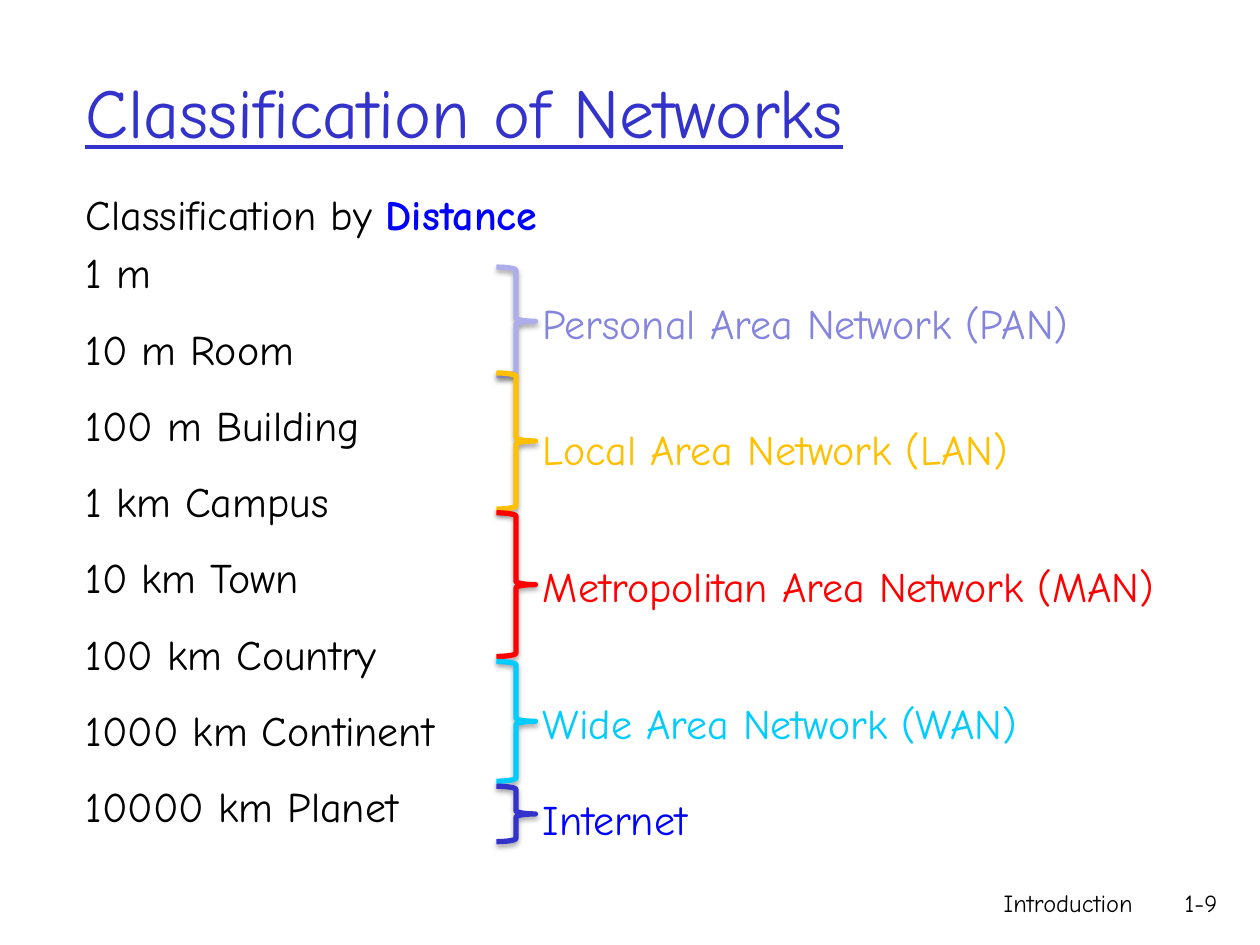
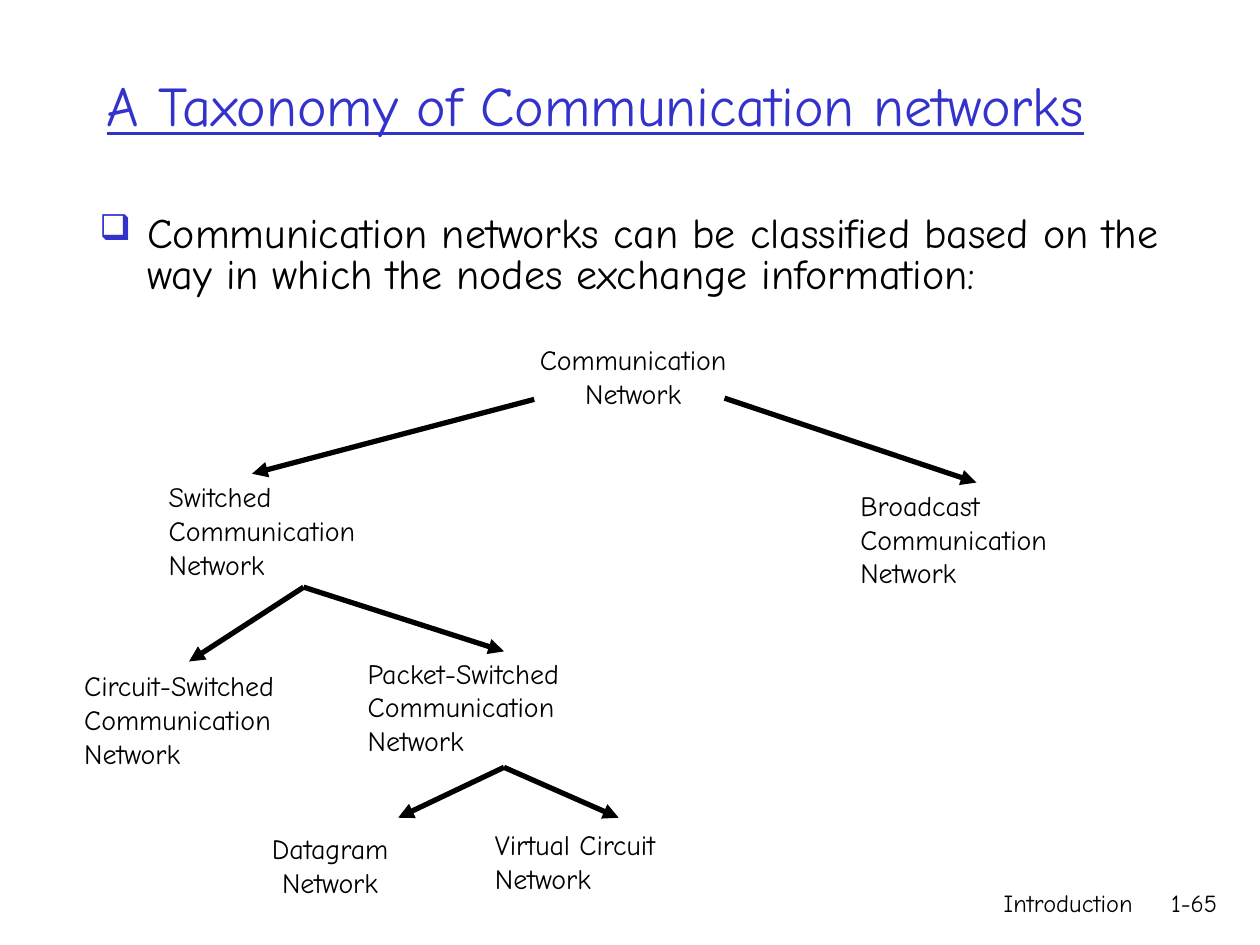
from lxml import etree
from pptx import Presentation
from pptx.dml.color import RGBColor
from pptx.enum import shapes, text
from pptx.oxml import parse_xml
from pptx.oxml.ns import nsdecls, qn
from pptx.util import Inches, Pt

FONT = "Comic Neue"
COLORS = {
    "title": "3333CC", "black": "000000", "blue": "0000FF",
    "lilac": "8585E0", "pale_lilac": "ADADEB", "amber": "FFC000",
    "red": "FF0000", "cyan": "00CCFF",
}


def rgb(name):
    return RGBColor.from_string(COLORS[name])


def add_text(slide, lines, x, y, w, h, size=24, color="black", underline=False,
             align="LEFT", anchor="TOP", before=0, after=0, spacing=None,
             hang=0, bullet=None):
    """Add a text box with one paragraph per line; *words* are bold blue."""
    tf = slide.shapes.add_textbox(Inches(x), Inches(y), Inches(w), Inches(h)).text_frame
    tf.word_wrap = True
    tf.vertical_anchor = getattr(text.MSO_ANCHOR, anchor)
    for n, line in enumerate(lines):
        p = tf.add_paragraph() if n else tf.paragraphs[0]
        p.alignment = getattr(text.PP_ALIGN, align)
        pPr = p._p.get_or_add_pPr()
        if hang:
            pPr.set("marL", str(Inches(hang)))
            pPr.set("indent", str(-Inches(hang)))
        if bullet:
            clr = etree.SubElement(pPr, qn("a:buClr"))
            etree.SubElement(clr, qn("a:srgbClr"), val=COLORS["title"])
            etree.SubElement(pPr, qn("a:buSzPct"), val="85000")
            etree.SubElement(pPr, qn("a:buChar"), char=bullet)
        if n:
            p.space_before = Pt(before)
            p.space_after = Pt(after)
        if spacing:
            p.line_spacing = spacing
        for i, part in enumerate(line.split("*")):
            if not part:
                continue
            strong = i % 2 == 1
            for j, piece in enumerate(part.split("\n")):
                if j:
                    p.add_line_break()
                r = p.add_run()
                r.text = piece
                r.font.name = FONT
                r.font.size = Pt(size)
                r.font.bold = strong
                r.font.underline = underline
                r.font.color.rgb = rgb("blue" if strong else color)


prs = Presentation()
prs.slide_width, prs.slide_height = Inches(10), Inches(7.5)
networks, taxonomy = [prs.slides.add_slide(prs.slide_layouts[6]) for _ in range(2)]

title = dict(color="title", underline=True)
for s, number in ((networks, "1-9"), (taxonomy, "1-65")):
    add_text(s, ["Introduction"], 5.92, 7, 3.17, 0.5, size=14, align="RIGHT")
    add_text(s, [number], 9.08, 7, 0.68, 0.5, size=14, align="RIGHT")

# Slide 1: distances on the left, network classes on the right
add_text(networks, ["Classification of Networks"], 0.58, 0.25, 8.5, 1.25,
         size=40, anchor="MIDDLE", **title)
add_text(networks, ["Classification by *Distance*"], 0.58, 1.45, 5.15, 0.5)
distances = ["1 m", "10 m Room", "100 m Building", "1 km Campus", "10 km Town",
             "100 km Country", "1000 km Continent", "10000 km Planet"]
add_text(networks, distances, 0.58, 1.91, 3.6, 5.17, before=4.8, after=10)
# The first distance has the same space after it as the others
networks.shapes[-1].text_frame.paragraphs[0].space_after = Pt(10)

classes = [  # label, label top, label colour, brace top, brace height, brace colour
    ("Personal Area Network (PAN)", 2.31, "lilac", 2.12, 0.86, "pale_lilac"),
    ("Local Area Network (LAN)", 3.31, "amber", 2.96, 1.08, "amber"),
    ("Metropolitan Area Network (MAN)", 4.4, "red", 4.07, 1.14, "red"),
    ("Wide Area Network (WAN)", 5.49, "cyan", 5.25, 0.95, "cyan"),
    ("Internet", 6.25, "blue", 6.24, 0.44, "title"),
]
for label, label_y, label_color, brace_y, brace_h, brace_color in classes:
    add_text(networks, [label], 4.21, label_y, 5.79, 0.5, color=label_color)
    sp = networks.shapes.add_shape(shapes.MSO_SHAPE.RIGHT_BRACE, Inches(3.94),
                                   Inches(brace_y), Inches(0.31), Inches(brace_h))
    sp.fill.background()
    sp.line.color.rgb = rgb(brace_color)
    sp.line.width = Pt(3)
    sp.shadow.inherit = False
    effects = sp._element.spPr.find(qn("a:effectLst"))
    effects.append(parse_xml(
        f'<a:outerShdw {nsdecls("a")} blurRad="{Pt(3.1)}" dist="{Pt(1.8)}" dir="5400000" '
        'rotWithShape="0"><a:srgbClr val="000000"><a:alpha val="35000"/></a:srgbClr>'
        '</a:outerShdw>'))

# Slide 2: tree of network types
add_text(taxonomy, ["A Taxonomy of Communication networks"], 0.75, 0.51, 8.74, 1.08,
         size=32, **title)
add_text(taxonomy, ["Communication networks can be classified based on the way in which "
                    "the nodes exchange information:"],
         0.69, 1.67, 8.61, 0.9, spacing=0.8, hang=0.38, bullet="❑")

nodes = [  # text, left, top, height, format
    ("Communication Network", 3.9, 2.67, 0.64, dict(align="CENTER")),
    ("Switched\nCommunication Network", 1.24, 3.76, 0.9, {}),
    ("Broadcast\nCommunication Network", 6.73, 3.83, 0.9, {}),
    ("Circuit-Switched\nCommunication Network", 0.57, 5.26, 0.9, {}),
    ("Packet-Switched\nCommunication Network", 2.82, 5.16, 0.9, {}),
    ("Datagram\nNetwork", 2.06, 6.55, 0.64, dict(hang=0.08)),
    ("Virtual Circuit Network", 3.83, 6.52, 0.64, {}),
]
for label, x, y, h, fmt in nodes:
    add_text(taxonomy, [label], x, y, 2.25, h, size=16, **fmt)

arrows = [
    (4.24, 3.17, 2, 3.76), (5.75, 3.16, 7.75, 3.83),
    (2.41, 4.66, 1.5, 5.25), (2.41, 4.66, 4, 5.17),
    (4, 6.09, 3.16, 6.49), (4, 6.09, 4.91, 6.49),
]
for ends in arrows:
    line = taxonomy.shapes.add_connector(shapes.MSO_CONNECTOR.STRAIGHT,
                                         *[Inches(v) for v in ends])
    line.line.color.rgb = rgb("black")
    line.line.width = Pt(3)
    etree.SubElement(line.line._get_or_add_ln(), qn("a:tailEnd"), type="triangle")
    etree.SubElement(line._element.spPr, qn("a:effectLst"))

prs.save("out.pptx")
